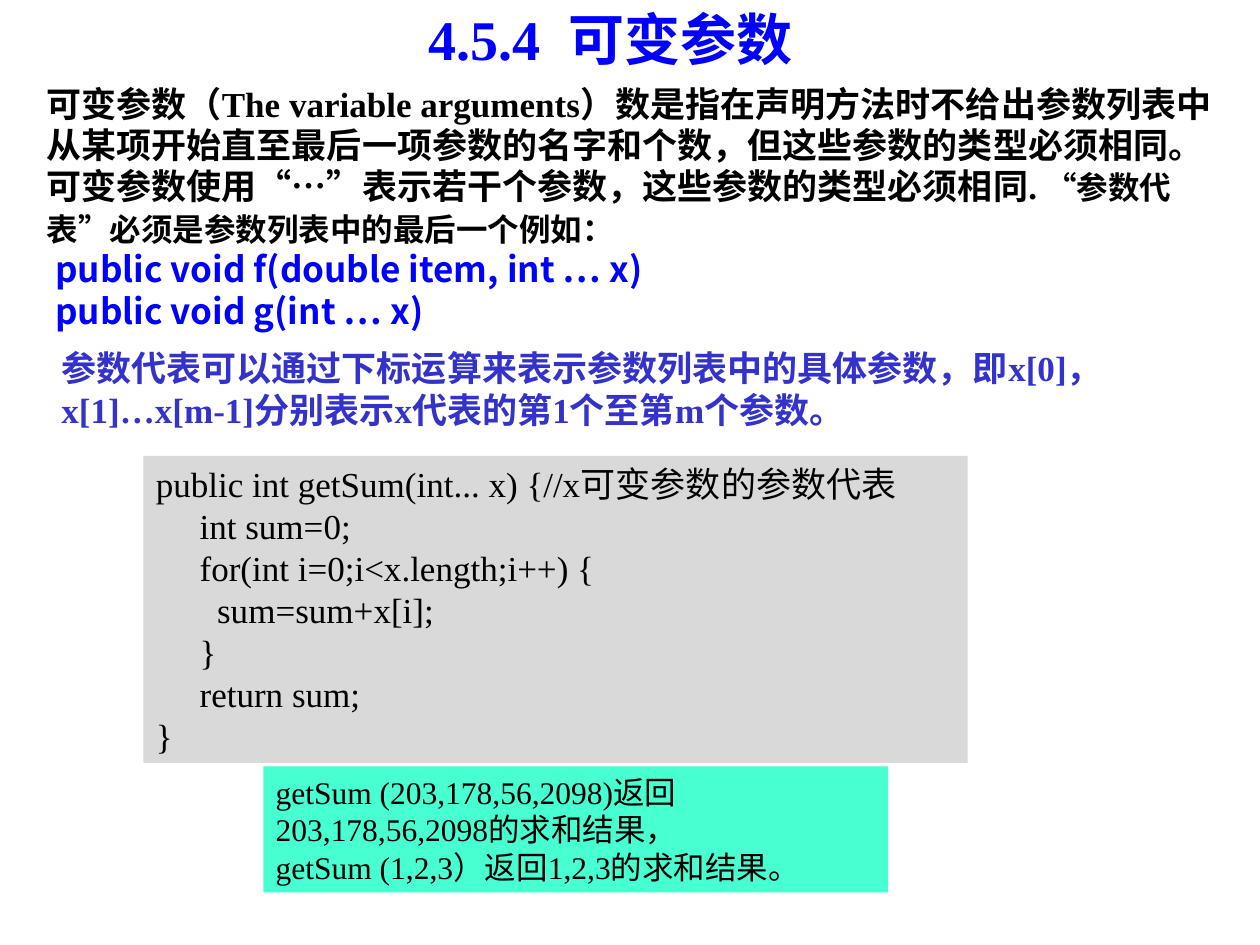
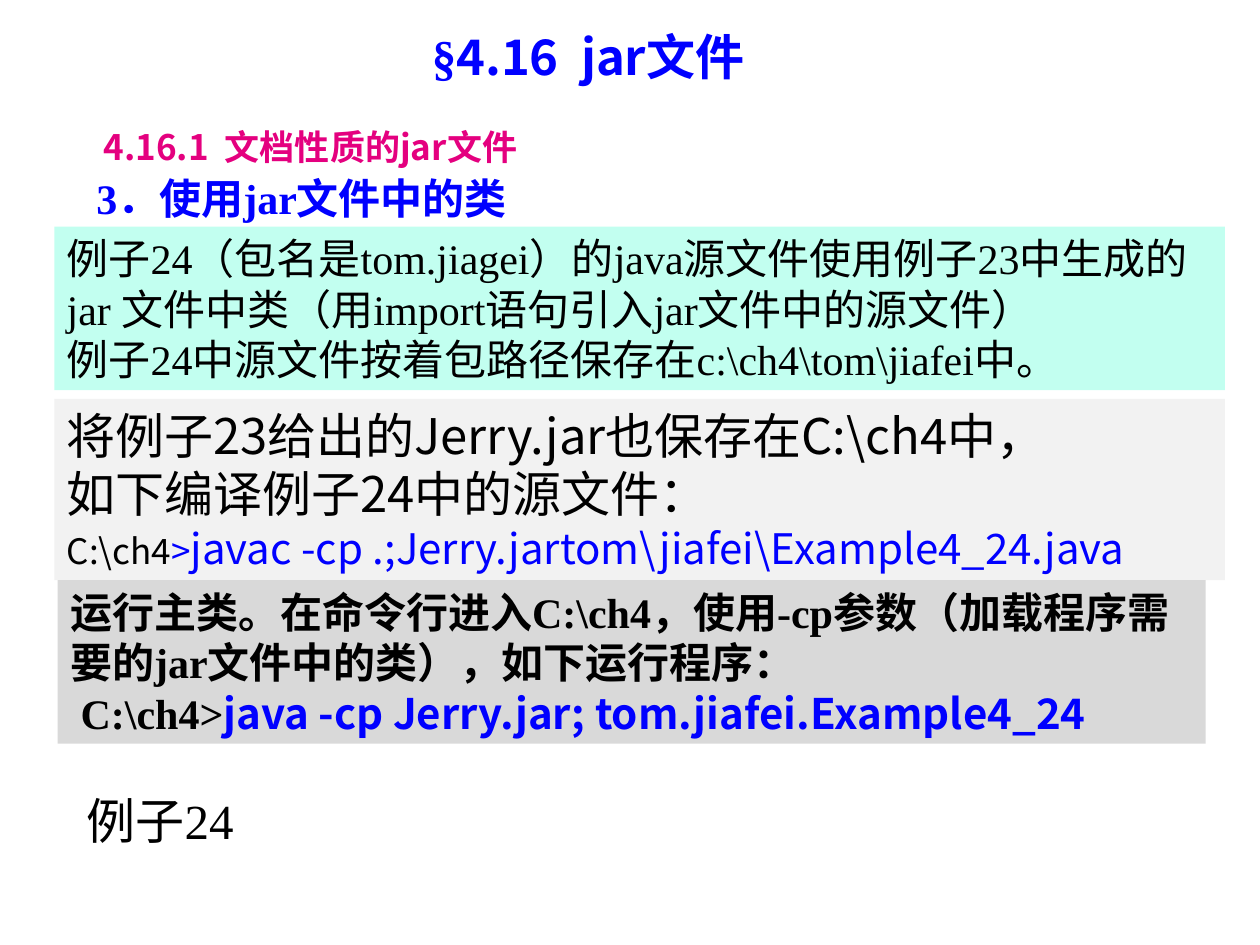
from pptx import Presentation
from pptx.dml.color import RGBColor
from pptx.enum.shapes import MSO_SHAPE
from pptx.enum.text import MSO_ANCHOR, PP_ALIGN
from pptx.util import Pt
from lxml import etree

RECT = MSO_SHAPE.RECTANGLE
TOP, MIDDLE = MSO_ANCHOR.TOP, MSO_ANCHOR.MIDDLE
LEFT, CENTER, JUSTIFY = PP_ALIGN.LEFT, PP_ALIGN.CENTER, PP_ALIGN.JUSTIFY

SERIF, SANS = "Times New Roman", "Noto Sans CJK SC"
NS = "http://schemas.openxmlformats.org/drawingml/2006/main"
LEADING = 1.2
COLORS = {
    "black": "000000", "blue": "0000FF", "violet": "3333CC", "pink": "E4007F",
    "gray": "D9D9D9", "pale": "F2F2F2", "aqua": "47FFD1", "mint": "C2FFF0",
}


def color(name):
    return RGBColor.from_string(COLORS[name])


def run(text, size, ink="black", bold=False, font=SERIF):
    return text, size, ink, bold, font


def para(*runs, indent=0, lead=None, align=LEFT, space=0):
    return runs, indent, lead or runs[0][1] * LEADING, align, space


def write(frame, paras, anchor=TOP):
    """Fill a text frame, run by run."""
    frame.word_wrap = True
    frame.vertical_anchor = anchor
    frame.margin_left = frame.margin_right = Pt(7.2)
    frame.margin_top = frame.margin_bottom = Pt(3.6)
    for i, (runs, indent, lead, align, space) in enumerate(paras):
        p = frame.paragraphs[0] if i == 0 else frame.add_paragraph()
        p.alignment = align
        p.line_spacing = Pt(lead)
        p.space_before = p.space_after = Pt(space)
        if indent:
            p._p.get_or_add_pPr().set("marL", str(Pt(indent)))
        for text, size, ink, bold, font in runs:
            r = p.add_run()
            r.text = text
            r.font.size, r.font.bold, r.font.name = Pt(size), bold, font
            r.font.color.rgb = color(ink)
            # Chinese characters take their own typeface
            east = etree.SubElement(r._r.get_or_add_rPr(), f"{{{NS}}}ea")
            east.set("typeface", SANS)


def label(slide, box, paras, anchor=TOP):
    shape = slide.shapes.add_textbox(*map(Pt, box))
    write(shape.text_frame, paras, anchor)


def panel(slide, box, fill, paras):
    shape = slide.shapes.add_shape(RECT, *map(Pt, box))
    shape.shadow.inherit = False
    shape.fill.solid()
    shape.fill.fore_color.rgb = color(fill)
    shape.line.fill.background()
    write(shape.text_frame, paras)


def title(slide, left, top, *runs):
    label(slide, (left, top, 552, 45), [para(*runs, align=CENTER)], MIDDLE)


def args_slide(slide):
    title(slide, 73, -1, run("4.5.4  可变参数", 32, "blue", True))

    # Definition and declarations
    label(slide, (19.5, 44, 680, 149), [
        para(run("可变参数（The variable arguments）数是指在声明方法时不给出参数列表"
                 "中从某项开始直至最后一项参数的名字和个数，但这些参数的类型必须相同。"
                 "可变参数使用“…”表示若干个参数，这些参数的类型必须相同.", 20, bold=True),
             run(" “参数代表”必须是参数列表中的最后一个例如：", 18, bold=True),
             lead=23.5),
        *(para(run(code, 20, "blue", True, SANS), indent=5)
          for code in ("public void f(double item, int … x)",
                       "public void g(int … x)")),
    ])
    label(slide, (28, 194.5, 641, 55), [
        para(run("参数代表可以通过下标运算来表示参数列表中的具体参数，即x[0]，"
                 "x[1]…x[m-1]分别表示x代表的第1个至第m个参数。", 20, "violet", True))])

    # Code listing: indent in points, then text
    code = [
        (0, "public int getSum(int... x) {//x可变参数的参数代表"),
        (25, "int sum=0;"),
        (25, "for(int i=0;i<x.length;i++) {"),
        (35, "sum=sum+x[i];"),
        (25, "}"),
        (25, "return sum;"),
        (0, "}"),
    ]
    panel(slide, (82, 260.5, 471, 175.5), "gray",
          [para(run(text, 20), indent=indent) for indent, text in code])

    # Results
    panel(slide, (150.5, 438, 357, 72), "aqua", [
        para(run("getSum (203,178,56,2098)返回203,178,56,2098的求和结果，", 18)),
        para(run("getSum (1,2,3）返回1,2,3的求和结果。", 18))])


def jar_slide(slide):
    title(slide, 60, 9.5, run("§", 28, "blue", True),
          run("4.16  jar文件", 28, "blue", True, SANS))

    # Headings
    label(slide, (31, 44, 547, 55), [
        para(run("4.16.1  文档性质的jar文件", 20, "pink", True, SANS),
             indent=21, lead=48, align=JUSTIFY, space=6)])
    label(slide, (48, 95, 360, 36), [
        para(run("3．使用jar文件中的类", 24, "blue", True))])

    # Source, compile and run steps
    panel(slide, (31, 129.5, 669, 93.5), "mint", [
        para(run("例子24（包名是tom.jiagei）的java源文件使用例子23中生成的jar "
                 "文件中类（用import语句引入jar文件中的源文件）", 24)),
        para(run("例子24中源文件按着包路径保存在c:\\ch4\\tom\\jiafei中。", 24))])
    panel(slide, (31, 228, 669, 103.5), "pale", [
        para(run("将例子23给出的Jerry.jar也保存在C:\\ch4中，", 28, font=SANS)),
        para(run("如下编译例子24中的源文件：", 28, font=SANS)),
        para(run("C:\\ch4", 20, font=SANS), run(">", 20, "blue", font=SANS),
             run("javac -cp .;Jerry.jartom\\jiafei\\Example4_24.java",
                 24, "blue", font=SANS), lead=24 * LEADING)])
    panel(slide, (33, 331.5, 656, 93.5), "gray", [
        para(run("运行主类。在命令行进入C:\\ch4，使用-cp参数（加载程序需要的jar"
                 "文件中的类），如下运行程序：", 24, bold=True)),
        para(run("C:\\ch4>", 24, bold=True),
             run("java -cp Jerry.jar; tom.jiafei.Example4_24",
                 24, "blue", True, SANS), indent=6)])

    # Example
    label(slide, (42.5, 448, 142, 41), [para(run("例子24", 28))])


def main():
    deck = Presentation()
    deck.slide_width, deck.slide_height = Pt(720), Pt(540)
    blank = deck.slide_layouts[6]
    for build in (args_slide, jar_slide):
        build(deck.slides.add_slide(blank))
    deck.save("out.pptx")


if __name__ == "__main__":
    main()
